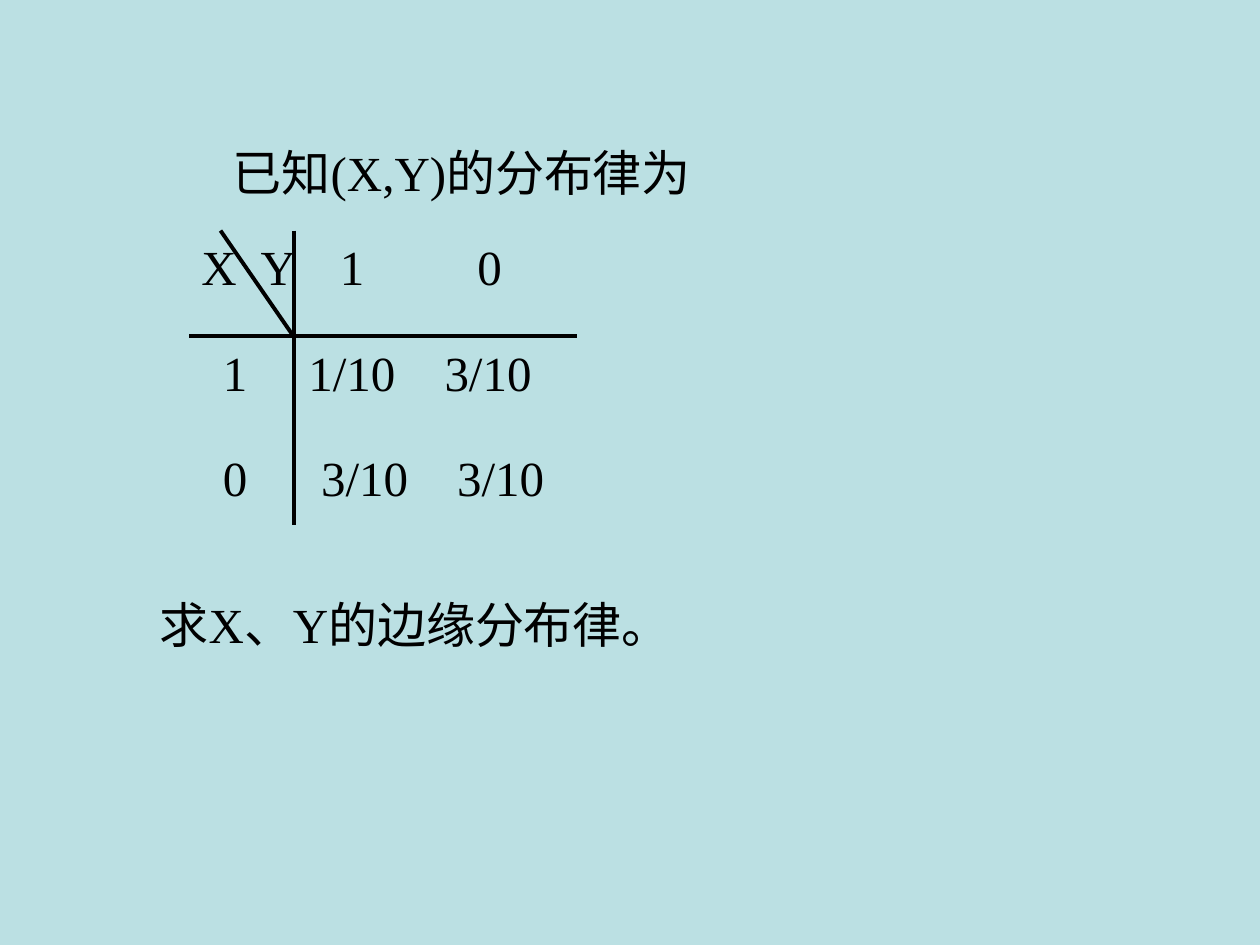
"""Build a slide that asks for the marginal laws of a joint distribution."""
from lxml import etree
from pptx import Presentation
from pptx.dml.color import RGBColor
from pptx.enum.shapes import MSO_CONNECTOR
from pptx.oxml.ns import qn
from pptx.util import Inches, Pt

LINE = MSO_CONNECTOR.STRAIGHT
FONT = "Times New Roman"
INK = "000000"


def color(part, code):
    part.rgb = RGBColor.from_string(code)


def write(text, left, top, width=3.2, tabs=(), size=28):
    box = slide.shapes.add_textbox(
        Inches(left), Inches(top), Inches(width), Inches(0.57))
    frame = box.text_frame
    frame.word_wrap = True
    para = frame.paragraphs[0]
    if tabs:
        stops = etree.SubElement(para._p.get_or_add_pPr(), qn("a:tabLst"))
        for tab in tabs:
            etree.SubElement(stops, qn("a:tab"), pos=str(Inches(tab)), algn="l")
    run = para.add_run()
    run.text = text
    run.font.name = FONT
    run.font.size = Pt(size)
    color(run.font.color, INK)


deck = Presentation()
deck.slide_width, deck.slide_height = Inches(10), Inches(7.5)
slide = deck.slides.add_slide(deck.slide_layouts[6])
fill = slide.background.fill
fill.solid()
color(fill.fore_color, "BBE0E3")

write("已知(X,Y)的分布律为", 1.75, 1.08, width=5)
write("求X、Y的边缘分布律。", 1.17, 4.67, width=5.2)

rows = [
    ("X\tY\t1\t0", 1.5, 1.83, (0.47, 1.1, 2.19)),
    ("1\t1/10\t3/10", 1.67, 2.67, (0.68, 1.76)),
    ("0\t3/10\t3/10", 1.67, 3.5, (0.78, 1.86)),
]
for text, left, top, tabs in rows:
    write(text, left, top, tabs=tabs)

rules = [
    (1.75, 1.83, 2.33, 2.67),
    (1.5, 2.67, 4.58, 2.67),
    (2.33, 1.83, 2.33, 4.17),
]
for ends in rules:
    rule = slide.shapes.add_connector(LINE, *map(Inches, ends))
    rule.line.width = Pt(2.25)
    color(rule.line.color, INK)
    etree.SubElement(rule._element.spPr, qn("a:effectLst"))

deck.save("out.pptx")
